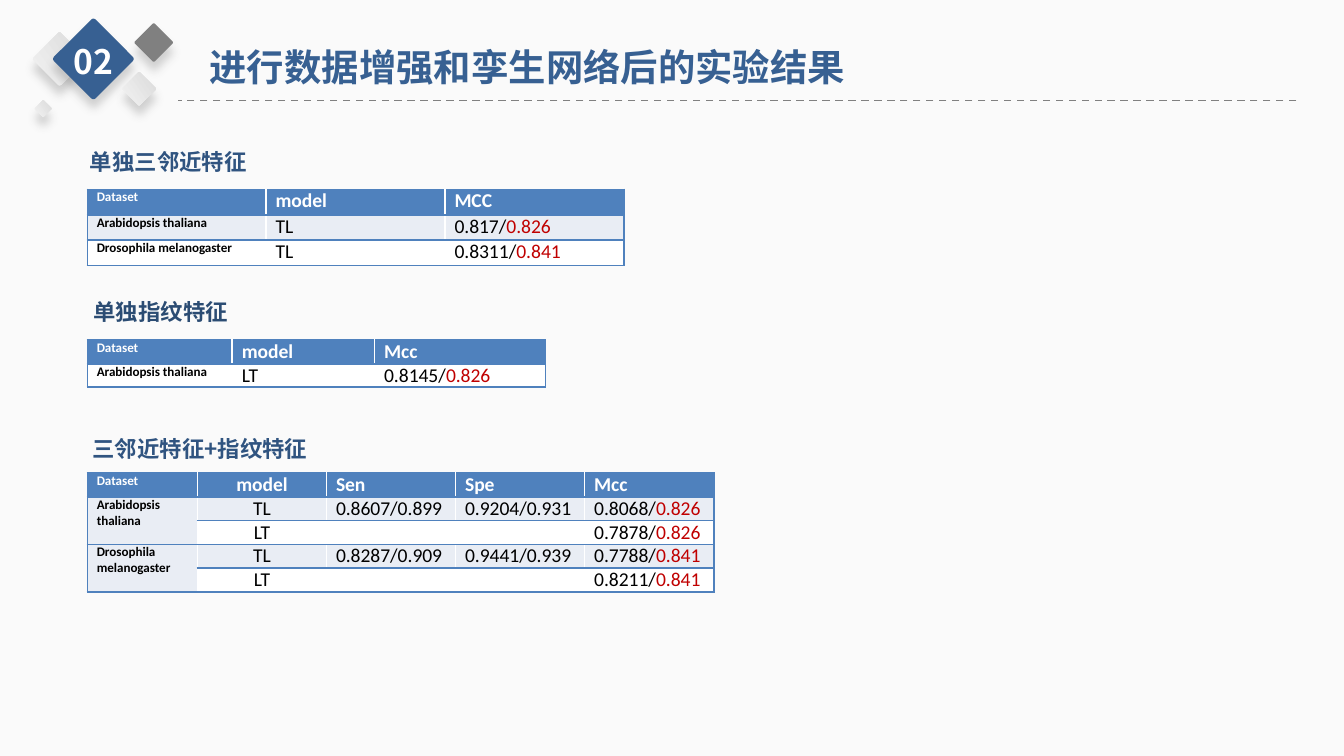
import pptx
import pptx.util
import pptx.dml.color
import pptx.enum.dml
import pptx.enum.shapes
import pptx.enum.text
import pptx.oxml
import lxml.etree

Cm = pptx.util.Cm
Pt = pptx.util.Pt
ALIGN = pptx.enum.text.PP_ALIGN
NAMESPACE = 'xmlns:a="http://schemas.openxmlformats.org/drawingml/2006/main"'
HEADING_FONT = "Noto Sans CJK SC"
BLUE = "376092"
TABLE_BLUE = "4F81BD"


def color(hex_value):
    return pptx.dml.color.RGBColor.from_string(hex_value)


def add_span(para, text, hex_value, values):
    span = para.add_run()
    span.text = text
    span.font.color.rgb = color(hex_value)
    for name, value in values.items():
        setattr(span.font, name, value)
    if values["name"] == HEADING_FONT:
        east_asian = lxml.etree.SubElement(span.font._element, pptx.oxml.ns.qn("a:ea"))
        east_asian.set("typeface", HEADING_FONT)


deck = pptx.Presentation()
deck.slide_width = Cm(25.4)
deck.slide_height = Cm(14.29)
page = deck.slides.add_slide(deck.slide_layouts[6])

# Background
background = page.background.fill
background.gradient()
background.gradient_angle = 270
for stop, hex_value in zip(background.gradient_stops, ("FAFAFA", "FCFCFC")):
    stop.color.rgb = color(hex_value)

# Dashed rule under the title
rule = page.shapes.add_connector(
    pptx.enum.shapes.MSO_CONNECTOR.STRAIGHT, Cm(24.5), Cm(1.9), Cm(3.36), Cm(1.9))
rule.line.color.rgb = color("808080")
rule.line.width = Pt(1)
rule.line.dash_style = pptx.enum.dml.MSO_LINE.DASH
rule._element.spPr.append(pptx.oxml.parse_xml(f"<a:effectLst {NAMESPACE}/>"))

# Diamonds: left, top, side, solid fill (None for the grey gradient)
diamonds = [
    (0.76, 0.75, 0.73, None),
    (1.21, 0.56, 1.11, BLUE),
    (2.64, 0.54, 0.53, "808080"),
    (2.4, 1.45, 0.46, None),
    (0.7, 1.94, 0.23, None),
]
SHADOW = f"""<a:effectLst {NAMESPACE}>
  <a:outerShdw blurRad="63500" dist="63500" dir="5400000" algn="t" rotWithShape="0">
    <a:srgbClr val="595959"><a:alpha val="25000"/></a:srgbClr>
  </a:outerShdw>
</a:effectLst>"""
for left, top, side, solid in diamonds:
    diamond = page.shapes.add_shape(
        pptx.enum.shapes.MSO_SHAPE.ROUNDED_RECTANGLE, Cm(left), Cm(top), Cm(side), Cm(side))
    diamond.adjustments[0] = 0.05
    diamond.rotation = 45
    diamond.line.fill.background()
    if solid:
        diamond.fill.solid()
        diamond.fill.fore_color.rgb = color(solid)
    else:
        diamond.fill.gradient()
        diamond.fill.gradient_angle = 80
        for stop, hex_value in zip(diamond.fill.gradient_stops, ("F2F2F2", "DBDBDB")):
            stop.color.rgb = color(hex_value)
    diamond._element.spPr.append(pptx.oxml.parse_xml(SHADOW))

# Title, number and section headings
headings = [
    ("进行数据增强和孪生网络后的实验结果", 3.71, 0.71, 12.62, 1.12, 20, BLUE, ALIGN.LEFT, False),
    ("02", 1.12, 0.64, 1.3, 1.02, 18, "FFFFFF", ALIGN.CENTER, False),
    ("单独三邻近特征", 1.45, 2.67, 6.45, 0.76, 12, "305480", ALIGN.LEFT, True),
    ("单独指纹特征", 1.52, 5.51, 6.83, 0.76, 12, "2B4C73", ALIGN.LEFT, True),
    ("三邻近特征+指纹特征", 1.5, 8.1, 8.56, 0.76, 12, "305480", ALIGN.LEFT, True),
]
for text, left, top, width, height, size, hex_value, alignment, wrap in headings:
    box = page.shapes.add_textbox(Cm(left), Cm(top), Cm(width), Cm(height))
    box.text_frame.word_wrap = wrap
    box.text_frame.auto_size = pptx.enum.text.MSO_AUTO_SIZE.SHAPE_TO_FIT_TEXT
    para = box.text_frame.paragraphs[0]
    para.alignment = alignment
    add_span(para, text, hex_value, {"name": HEADING_FONT, "size": Pt(size), "bold": True})

# Result tables; None continues the cell above
ARABIDOPSIS = "Arabidopsis thaliana"
DROSOPHILA = "Drosophila melanogaster"
tables = [
    {"top": 3.58, "columns": [3.38] * 3, "row": 0.48, "fills": ["E9EDF4", "FFFFFF"],
     "centered": None, "cells": [
         ["Dataset", "model", "MCC"],
         [ARABIDOPSIS, "TL", "0.817/0.826"],
         [DROSOPHILA, "TL", "0.8311/0.841"]]},
    {"top": 6.43, "columns": [2.74, 2.69, 3.23], "row": 0.44, "fills": ["FFFFFF"],
     "centered": None, "cells": [
         ["Dataset", "model", "Mcc"],
         [ARABIDOPSIS, "LT", "0.8145/0.826"]]},
    {"top": 8.94, "columns": [2.08] + [2.44] * 4, "row": 0.45, "fills": ["E9EDF4", "FFFFFF"],
     "centered": 1, "cells": [
         ["Dataset", "model", "Sen", "Spe", "Mcc"],
         [ARABIDOPSIS, "TL", "0.8607/0.899", "0.9204/0.931", "0.8068/0.826"],
         [None, "LT", "", "", "0.7878/0.826"],
         [DROSOPHILA, "TL", "0.8287/0.909", "0.9441/0.939", "0.7788/0.841"],
         [None, "LT", "", "", "0.8211/0.841"]]},
]
MARGINS = {"margin_left": Cm(0.18), "margin_right": Cm(0.18), "margin_top": 0, "margin_bottom": 0}

for data in tables:
    rows, columns = data["cells"], data["columns"]
    last = len(columns) - 1
    table = page.shapes.add_table(
        len(rows), len(columns), Cm(1.65), Cm(data["top"]),
        Cm(sum(columns)), Cm(data["row"] * len(rows))).table
    for column, width in zip(table.columns, columns):
        column.width = Cm(width)
    for row in table.rows:
        row.height = Cm(data["row"])
    for r, texts in enumerate(rows):
        if texts[0] is None:
            table.cell(r - 1, 0).merge(table.cell(r, 0))

    for r, texts in enumerate(rows):
        for c, text in enumerate(texts):
            cell = table.cell(r, c)
            for name, value in MARGINS.items():
                setattr(cell, name, value)
            if not cell.is_spanned:
                # Horizontal lines everywhere, vertical ones only at the table's sides
                sides = ["L"] * (c == 0) + ["R"] * (c == last) + ["T", "B"]
                for side in sides:
                    cell._tc.get_or_add_tcPr().append(pptx.oxml.parse_xml(
                        f'<a:ln{side} {NAMESPACE} w="12700"><a:solidFill>'
                        f'<a:srgbClr val="{TABLE_BLUE}"/></a:solidFill></a:ln{side}>'))
            cell.fill.solid()
            cell.fill.fore_color.rgb = color(
                TABLE_BLUE if r == 0 else data["fills"][(r - 1) % len(data["fills"])])

            para = cell.text_frame.paragraphs[0]
            para.alignment = ALIGN.CENTER if c == data["centered"] else ALIGN.JUSTIFY
            if not text:
                # Keeps an empty cell as low as its row
                para._p.append(pptx.oxml.parse_xml(f'<a:endParaRPr {NAMESPACE} sz="1050"/>'))
                continue
            values = {"name": "Calibri", "size": Pt(7 if c == 0 else 10.5),
                      "bold": r == 0 or c == 0}
            if r > 0 and c == last:
                before, after = text.split("/")
                add_span(para, before + "/", "000000", values)
                add_span(para, after, "C00000", values)
            else:
                add_span(para, text, "FFFFFF" if r == 0 else "000000", values)

deck.save("out.pptx")
